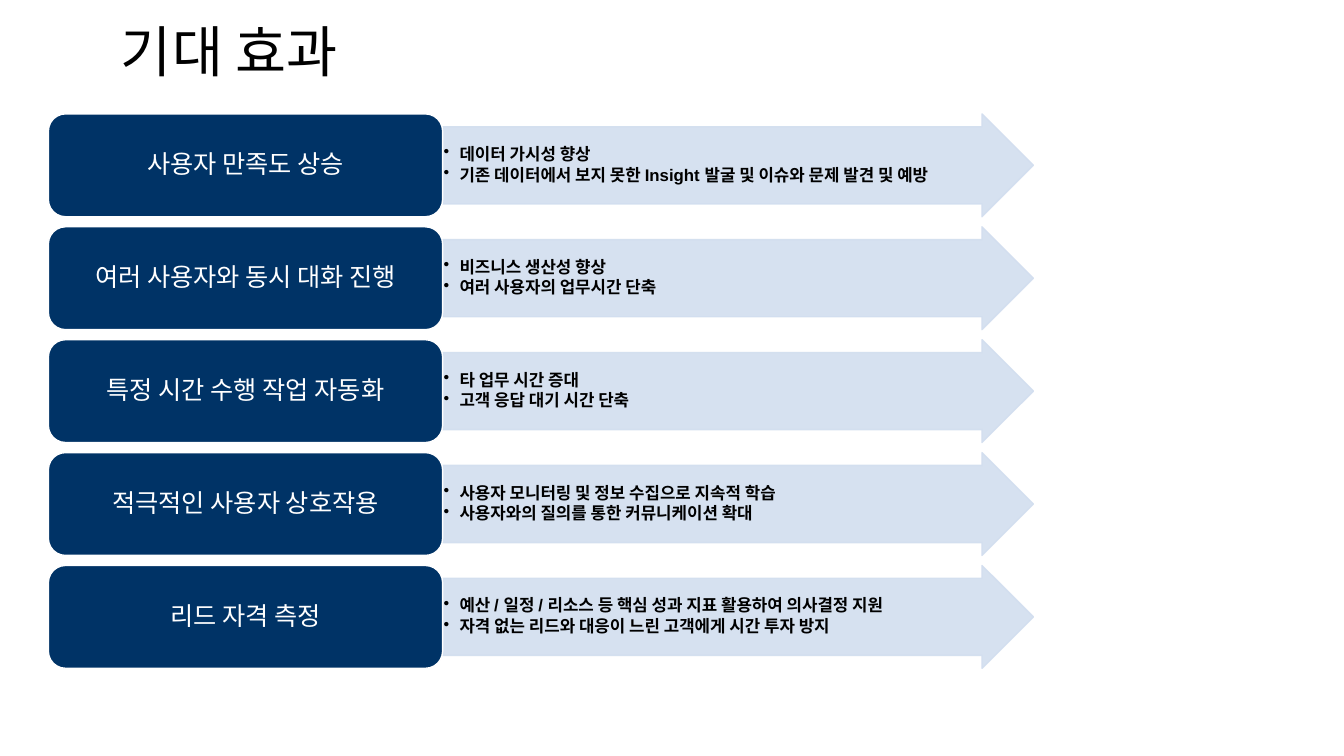
from lxml.etree import SubElement as Sub
from pptx import Presentation
from pptx.dml.color import RGBColor as RGB
from pptx.enum.shapes import MSO_SHAPE as Kind
from pptx.enum.text import MSO_ANCHOR as Anchor, MSO_AUTO_SIZE as Fit, PP_ALIGN as Align
from pptx.oxml.ns import qn
from pptx.util import Inches, Pt

TITLE = "기대 효과"
ROWS = [
    ("사용자 만족도 상승",
     ["데이터 가시성 향상",
      "기존 데이터에서 보지 못한 Insight 발굴 및 이슈와 문제 발견 및 예방 "]),
    ("여러 사용자와 동시 대화 진행",
     ["비즈니스 생산성 향상", "여러 사용자의 업무시간 단축"]),
    ("특정 시간 수행 작업 자동화",
     ["타 업무 시간 증대 ", "고객 응답 대기 시간 단축"]),
    ("적극적인 사용자 상호작용",
     ["사용자 모니터링 및 정보 수집으로 지속적 학습",
      "사용자와의 질의를 통한 커뮤니케이션 확대"]),
    ("리드 자격 측정",
     ["예산 / 일정 / 리소스 등 핵심 성과 지표 활용하여 의사결정 지원",
      "자격 없는 리드와 대응이 느린 고객에게 시간 투자 방지"]),
]
LATIN, KOREAN = "Arial", "Noto Sans CJK KR"
NAVY, PALE, WHITE, BLACK = "003366", "D2DEEF", "FFFFFF", "000000"
LEFT, TOP, HIGH, PITCH = 0.48, 1.13, 1.02, 1.12
LABEL, ARROW = 3.91, 5.86
HARD = " "


def paint(color, tone):
    color.rgb = RGB.from_string(tone)


def place(shape, left, top, width, height):
    shape.left, shape.top = Inches(left), Inches(top)
    shape.width, shape.height = Inches(width), Inches(height)


def fade(part, share):
    tone = part.find(".//" + qn("a:srgbClr"))
    Sub(tone, qn("a:alpha"), val=str(share * 1000))


def block(kind, left, top, width, fill, edge, side, rim):
    shape = slide.shapes.add_shape(kind, 0, 0, 0, 0)
    place(shape, left, top, width, HIGH)
    shape.shadow.inherit = False
    shape.fill.solid()
    paint(shape.fill.fore_color, fill)
    paint(shape.line.color, edge)
    shape.line.width = Pt(1)
    frame = shape.text_frame
    frame.word_wrap = True
    frame.vertical_anchor = Anchor.MIDDLE
    frame.margin_left = frame.margin_right = Inches(side)
    frame.margin_top = frame.margin_bottom = Inches(rim)
    return shape


def write(para, text, size, face, tone, after=0, bold=False, align=Align.LEFT):
    para.text = text
    para.alignment = align
    para.line_spacing = 0.9
    para.space_after = Pt(after)
    font = para.font
    font.size, font.name, font.bold = Pt(size), face, bold
    paint(font.color, tone)
    Sub(font._element, qn("a:ea"), typeface=KOREAN)


def bullet(para):
    props = para._p.get_or_add_pPr()
    props.set("marL", str(Inches(0.12)))
    props.set("indent", str(Inches(-0.12)))
    mark = Sub(props, qn("a:buChar"), char="•")
    props.find(qn("a:defRPr")).addprevious(mark)


deck = Presentation()
deck.slide_width, deck.slide_height = Inches(13.33), Inches(7.5)
slide = deck.slides.add_slide(deck.slide_layouts[5])

title = slide.shapes.title
place(title, 1.1, 0.33, 9.32, 0.42)
title.text_frame.auto_size = Fit.NONE
title.text_frame.vertical_anchor = Anchor.MIDDLE
write(title.text_frame.paragraphs[0], TITLE, 39.6, KOREAN, BLACK)

for row, (name, notes) in enumerate(ROWS):
    top = TOP + row * PITCH
    arrow = block(Kind.RIGHT_ARROW, LEFT + LABEL, top, ARROW, PALE, PALE, 0.01, 0.01)
    arrow.adjustments[0] = 0.75
    for part in (qn("a:solidFill"), qn("a:ln")):
        fade(arrow._element.spPr.find(part), 90)
    frame = arrow.text_frame
    for spot, note in enumerate(notes):
        para = frame.add_paragraph() if spot else frame.paragraphs[0]
        para.level = 1
        write(para, HARD + note, 12, LATIN, BLACK, 1.8, True)
        bullet(para)
    label = block(Kind.ROUNDED_RECTANGLE, LEFT, top, LABEL, NAVY, WHITE, 0.07, 0.04)
    write(label.text_frame.paragraphs[0], name, 18, KOREAN, WHITE, 6.3, align=Align.CENTER)

deck.save("out.pptx")
